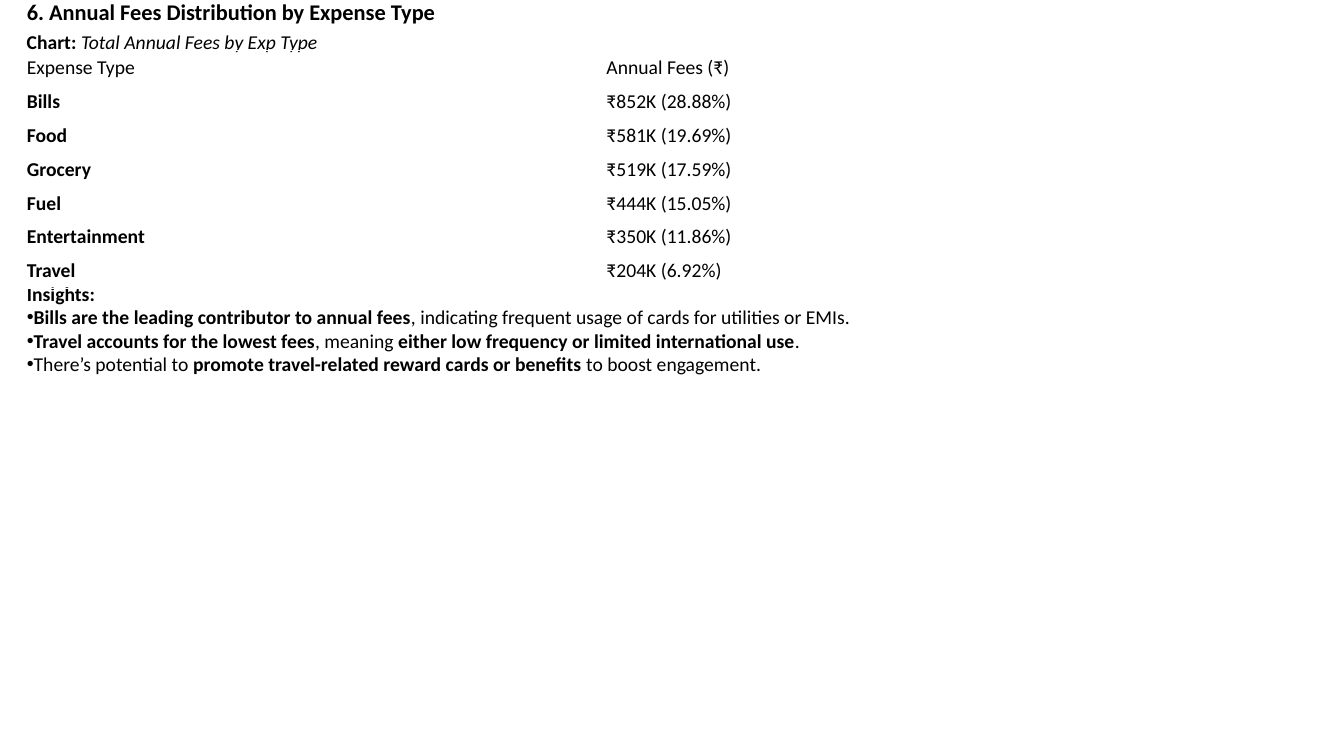
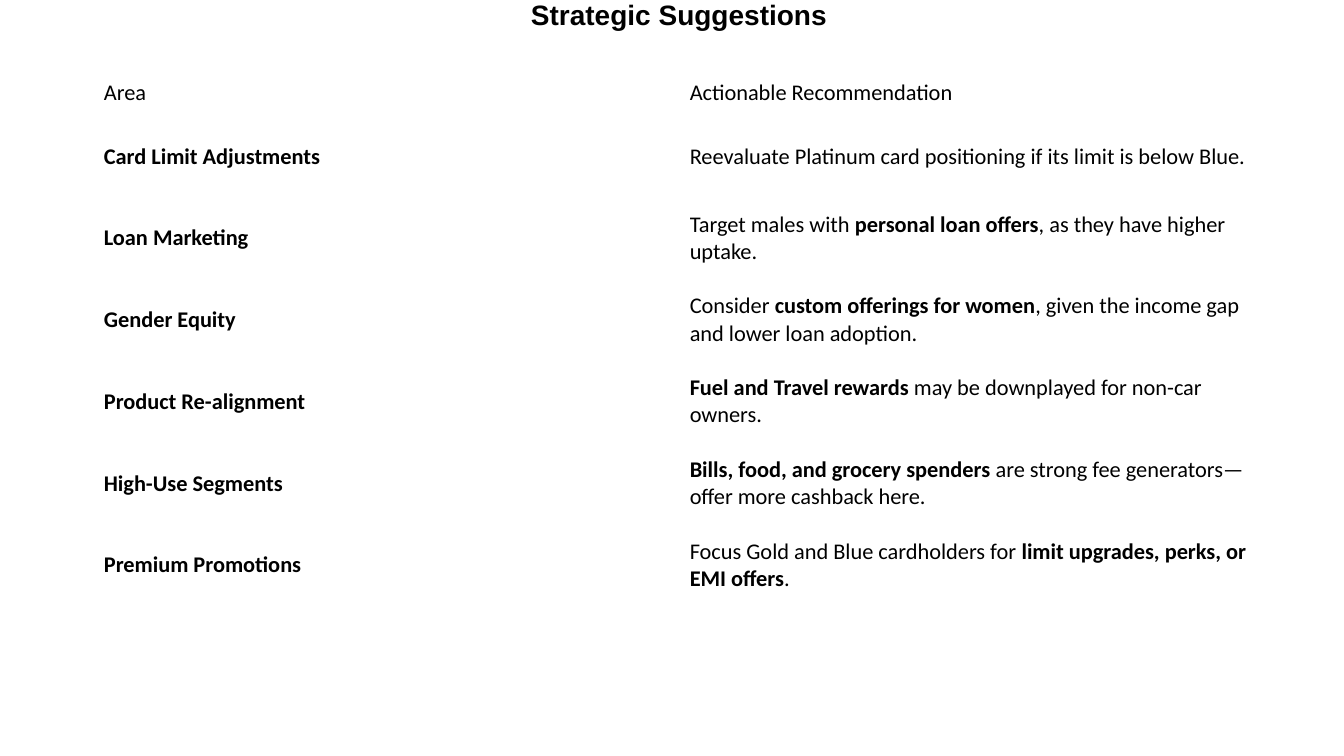
from lxml.etree import SubElement
from pptx import Presentation
from pptx.dml.color import RGBColor
from pptx.enum.text import MSO_ANCHOR, MSO_AUTO_SIZE, PP_ALIGN
from pptx.oxml.ns import qn
from pptx.util import Pt

COLOURS = {"background": "FFFFFF", "text": "000000"}
TITLE_AND_BODY, TITLE_ONLY = 1, 5

FEES = [
    ("Expense Type", "Annual Fees (₹)"),
    ("**Bills**", "₹852K (28.88%)"),
    ("**Food**", "₹581K (19.69%)"),
    ("**Grocery**", "₹519K (17.59%)"),
    ("**Fuel**", "₹444K (15.05%)"),
    ("**Entertainment**", "₹350K (11.86%)"),
    ("**Travel**", "₹204K (6.92%)"),
]
INSIGHTS = [
    "**Bills are the leading contributor to annual fees**, indicating frequent usage of cards for utilities or EMIs.",
    "**Travel accounts for the lowest fees**, meaning **either low frequency or limited international use**.",
    "There’s potential to **promote travel-related reward cards or benefits** to boost engagement.",
]
SUGGESTIONS = [
    ("Area", "Actionable Recommendation"),
    ("**Card Limit Adjustments**", "Reevaluate Platinum card positioning if its limit is below Blue."),
    ("**Loan Marketing**", "Target males with **personal loan offers**, as they have higher uptake."),
    ("**Gender Equity**", "Consider **custom offerings for women**, given the income gap and lower loan adoption."),
    ("**Product Re-alignment**", "**Fuel and Travel rewards** may be downplayed for non-car owners."),
    ("**High-Use Segments**", "**Bills, food, and grocery spenders** are strong fee generators—offer more cashback here."),
    ("**Premium Promotions**", "Focus Gold and Blue cardholders for **limit upgrades, perks, or EMI offers**."),
]


class Deck:
    def __init__(self):
        self.presentation = Presentation()
        self.presentation.slide_width = Pt(960)
        self.presentation.slide_height = Pt(540)
        self.slide = None

    def add_slide(self, layout):
        self.slide = self.presentation.slides.add_slide(self.presentation.slide_layouts[layout])
        fill = self.slide.background.fill
        fill.solid()
        fill.fore_color.rgb = RGBColor.from_string(COLOURS["background"])

    def place(self, holder, box):
        for side, length in zip(("left", "top", "width", "height"), box):
            setattr(holder, side, Pt(length))
        frame_format = {
            "word_wrap": True,
            "auto_size": MSO_AUTO_SIZE.NONE,
            "vertical_anchor": MSO_ANCHOR.TOP,
        }
        for name, value in frame_format.items():
            setattr(holder.text_frame, name, value)
        return holder.text_frame

    def add_text(self, paragraph, marked, size, font="Calibri", align=PP_ALIGN.LEFT, italic=False):
        paragraph_format = {
            "alignment": align,
            "line_spacing": 1.0,
            "space_before": Pt(0),
            "space_after": Pt(0),
        }
        for name, value in paragraph_format.items():
            setattr(paragraph, name, value)
        for index, piece in enumerate(marked.split("**")):
            if not piece:
                continue
            run = paragraph.add_run()
            run.text = piece
            bold = index % 2 == 1
            font_format = {"name": font, "size": Pt(size), "bold": bold, "italic": italic and not bold}
            for name, value in font_format.items():
                setattr(run.font, name, value)
            run.font.color.rgb = RGBColor.from_string(COLOURS["text"])

    def title(self, text, box, size, font="Calibri", align=PP_ALIGN.LEFT):
        frame = self.place(self.slide.shapes.title, box)
        self.add_text(frame.paragraphs[0], f"**{text}**", size, font, align)

    def caption(self, marked, box, size):
        lengths = [Pt(length) for length in box]
        frame = self.place(self.slide.shapes.add_textbox(*lengths), box)
        self.add_text(frame.paragraphs[0], marked, size, italic=True)

    def bullet_list(self, heading, points, box, size):
        frame = self.place(self.slide.placeholders[1], box)
        for index, marked in enumerate([f"**{heading}**", *points]):
            paragraph = frame.add_paragraph() if index else frame.paragraphs[0]
            self.add_text(paragraph, marked, size)
            properties = paragraph._p.get_or_add_pPr()
            for name in ("marL", "indent"):
                properties.set(name, "0")
            if index:
                SubElement(properties, qn("a:buChar")).set("char", "•")
            else:
                SubElement(properties, qn("a:buNone"))

    def table(self, rows, left, top, column_width, row_heights, size):
        columns = len(rows[0])
        table = self.slide.shapes.add_table(
            len(rows), columns, Pt(left), Pt(top), Pt(column_width * columns), Pt(sum(row_heights))
        ).table
        table.first_row = table.horz_banding = False
        for column in table.columns:
            column.width = Pt(column_width)
        for row, height, texts in zip(table.rows, row_heights, rows):
            row.height = Pt(height)
            for cell, marked in zip(row.cells, texts):
                cell.fill.background()
                cell.vertical_anchor = MSO_ANCHOR.MIDDLE
                self.add_text(cell.text_frame.paragraphs[0], marked, size)


def main():
    deck = Deck()

    deck.add_slide(TITLE_AND_BODY)
    deck.title("6. Annual Fees Distribution by Expense Type", (12, -5, 480, 27), 16)
    deck.caption("**Chart: **Total Annual Fees by Exp Type", (12, 17.5, 480, 24), 14)
    deck.table(FEES, 12, 36, 414, [24] * len(FEES), 14)
    deck.bullet_list("Insights:", INSIGHTS, (12, 197.5, 924, 75), 14)

    deck.add_slide(TITLE_ONLY)
    deck.title("Strategic Suggestions", (0, -5.5, 970, 55), 20, "Arial", PP_ALIGN.CENTER)
    deck.table(SUGGESTIONS, 67, 49.5, 418.5, [33] + [58.4] * (len(SUGGESTIONS) - 1), 16)

    deck.presentation.save("out.pptx")


if __name__ == "__main__":
    main()
